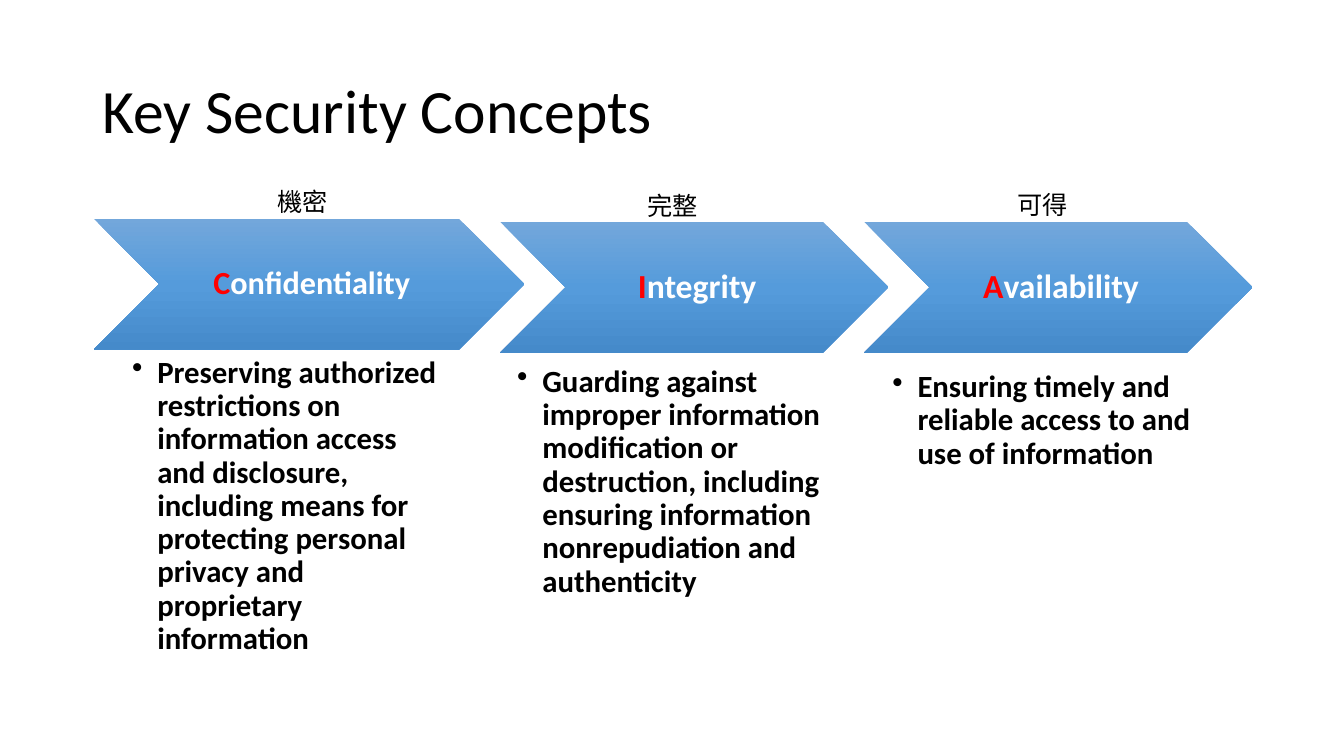
from copy import deepcopy
from dataclasses import dataclass

from lxml.etree import SubElement
from pptx import Presentation
from pptx.dml.color import RGBColor
from pptx.enum.shapes import MSO_SHAPE
from pptx.enum.text import MSO_ANCHOR, PP_ALIGN
from pptx.oxml.ns import qn
from pptx.util import Inches, Pt


@dataclass(frozen=True)
class Theme:
    font: str = "Calibri"
    text: RGBColor = RGBColor(0, 0, 0)
    initial: RGBColor = RGBColor(0xFF, 0, 0)
    on_arrow: RGBColor = RGBColor(0xFF, 0xFF, 0xFF)
    gradient: tuple = ("73A7DB", "559BDB", "458ACA")
    title_size: int = 44
    body_size: int = 22
    translation_size: int = 18


@dataclass(frozen=True)
class Concept:
    """One concept; each place is (left, top, width, height) in inches."""
    name: str
    name_size: int
    translation: str
    description: str
    arrow_place: tuple
    translation_place: tuple
    description_place: tuple


THEME = Theme()

CONCEPTS = (
    Concept(
        "Confidentiality", 23, "機密",
        "Preserving authorized restrictions on information access and "
        "disclosure, including means for protecting personal privacy and "
        "proprietary information",
        (0.93, 2.17, 4.27, 1.3), (2.65, 1.8, 0.71, 0.4), (1.31, 3.54, 3.08, 3.22),
    ),
    Concept(
        "Integrity", 24, "完整",
        "Guarding against improper information modification or destruction, "
        "including ensuring information nonrepudiation and authenticity",
        (4.96, 2.2, 3.85, 1.3), (6.32, 1.84, 0.71, 0.4), (5.13, 3.63, 3.08, 3.08),
    ),
    Concept(
        "Availability", 24, "可得",
        "Ensuring timely and reliable access to and use of information",
        (8.57, 2.2, 3.85, 1.3), (9.99, 1.83, 0.71, 0.4), (8.85, 3.68, 3.08, 3.08),
    ),
)


def style(para, size, bold=False):
    para.font.name = THEME.font
    para.font.size = Pt(size)
    para.font.bold = bold
    para.font.color.rgb = THEME.text


def set_margins(frame, left, other):
    frame.margin_left = Inches(left)
    frame.margin_top = frame.margin_right = frame.margin_bottom = Inches(other)


def add_text(slide, place, text, size, bold=False, wrap=True):
    box = slide.shapes.add_textbox(*map(Inches, place))
    frame = box.text_frame
    frame.word_wrap = wrap
    para = frame.paragraphs[0]
    para.text = text
    style(para, size, bold)
    return frame


def add_title(slide, text):
    frame = add_text(slide, (0.92, 0.4, 11.5, 1.45), text, THEME.title_size)
    frame.vertical_anchor = MSO_ANCHOR.MIDDLE
    frame.paragraphs[0].line_spacing = 0.9


def fill_gradient(shape):
    """Fill from top to bottom with the evenly spaced theme colours."""
    fill = shape.fill
    fill.gradient()
    fill.gradient_angle = 270
    stop_list = next(shape.element.iter(qn("a:gsLst")))
    stop_list.append(deepcopy(stop_list[-1]))
    for index, (stop, colour) in enumerate(zip(fill.gradient_stops, THEME.gradient)):
        stop.position = index / (len(THEME.gradient) - 1)
        stop.color.rgb = RGBColor.from_string(colour)


def add_arrow(slide, place, name, size):
    """Add a chevron whose name starts with a highlighted initial."""
    arrow = slide.shapes.add_shape(MSO_SHAPE.CHEVRON, *map(Inches, place))
    arrow.shadow.inherit = False
    arrow.line.fill.background()
    fill_gradient(arrow)
    frame = arrow.text_frame
    frame.word_wrap = True
    frame.vertical_anchor = MSO_ANCHOR.MIDDLE
    set_margins(frame, 0.1, 0.04)
    para = frame.paragraphs[0]
    para.alignment = PP_ALIGN.CENTER
    para.line_spacing = 0.9
    style(para, size, bold=True)
    for text, colour in ((name[0], THEME.initial), (name[1:], THEME.on_arrow)):
        span = para.add_run()
        span.text = text
        span.font.color.rgb = colour


def add_description(slide, place, text):
    frame = add_text(slide, place, text, THEME.body_size, bold=True)
    set_margins(frame, 0, 0)
    para = frame.paragraphs[0]
    para.line_spacing = 0.9
    properties = para._p.get_or_add_pPr()
    properties.set("marL", str(Inches(0.25)))
    properties.set("indent", str(Inches(-0.25)))
    bullet = SubElement(properties, qn("a:buChar"), char="•")
    properties.find(qn("a:defRPr")).addprevious(bullet)


def add_concept(slide, concept):
    add_arrow(slide, concept.arrow_place, concept.name, concept.name_size)
    add_description(slide, concept.description_place, concept.description)
    add_text(slide, concept.translation_place, concept.translation,
             THEME.translation_size, wrap=False)


def main():
    deck = Presentation()
    deck.slide_width = Inches(13.33)
    deck.slide_height = Inches(7.5)
    slide = deck.slides.add_slide(deck.slide_layouts[6])
    add_title(slide, "Key Security Concepts")
    for concept in CONCEPTS:
        add_concept(slide, concept)
    deck.save("out.pptx")


if __name__ == "__main__":
    main()
